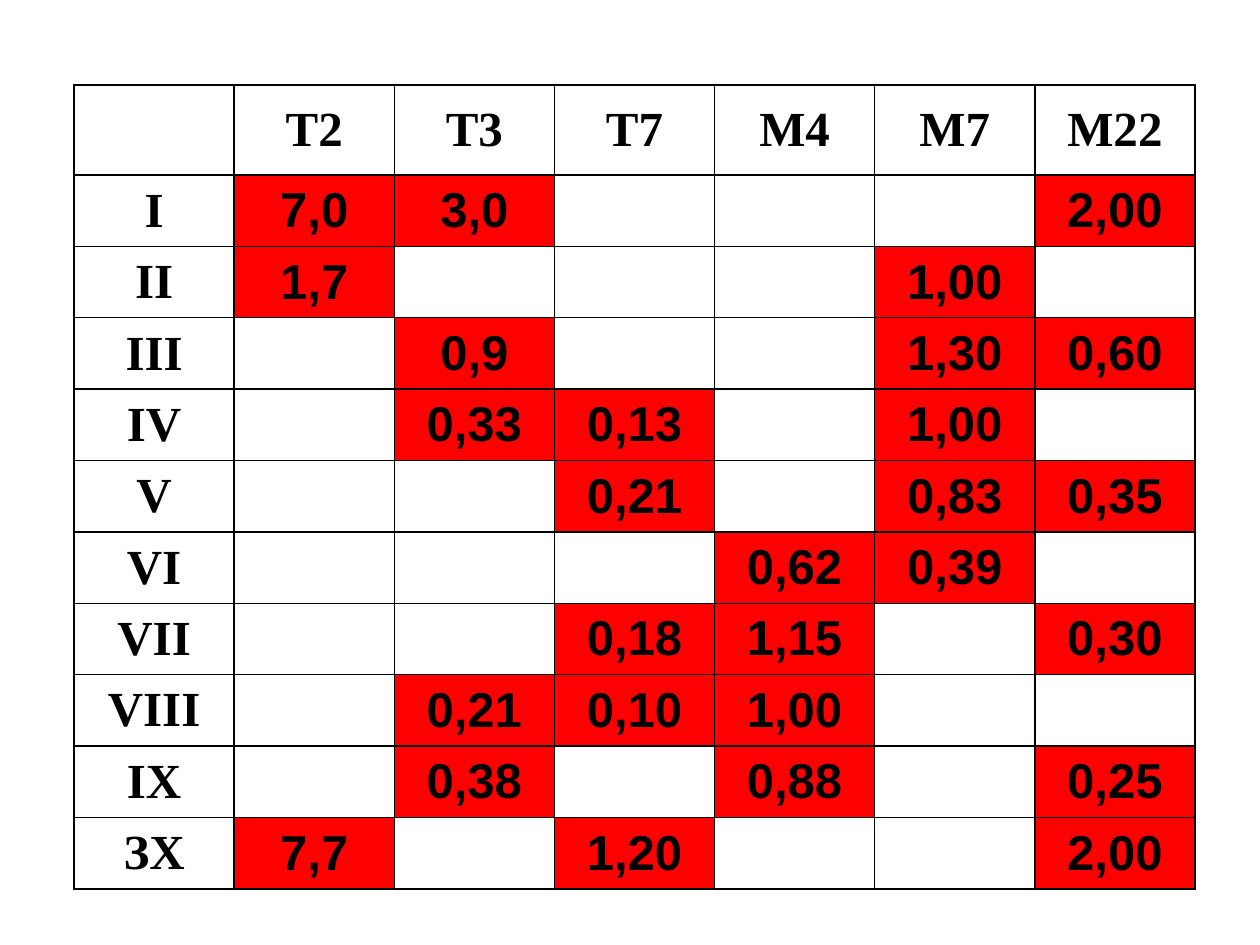
from dataclasses import dataclass

from lxml.etree import SubElement
from pptx import Presentation
from pptx.dml.color import RGBColor as RGB
from pptx.enum.text import MSO_ANCHOR as Anchor, PP_ALIGN as Align
from pptx.oxml.ns import qn
from pptx.util import Emu, Pt

SCALE = 914400 // 126


@dataclass(frozen=True)
class Theme:
    """Colours, fonts and sizes of the slide."""
    ink: str = "000000"
    mark: str = "FF0000"
    head: str = "Times New Roman"
    body: str = "Arial"
    size: int = 28
    line: int = 1


THEME = Theme()
HEADS = ["", "T2", "T3", "T7", "M4", "M7", "M22"]
ROWS = [
    ["I", "7,0", "3,0", "", "", "", "2,00"],
    ["II", "1,7", "", "", "", "1,00", ""],
    ["III", "", "0,9", "", "", "1,30", "0,60"],
    ["IV", "", "0,33", "0,13", "", "1,00", ""],
    ["V", "", "", "0,21", "", "0,83", "0,35"],
    ["VI", "", "", "", "0,62", "0,39", ""],
    ["VII", "", "", "0,18", "1,15", "", "0,30"],
    ["VIII", "", "0,21", "0,10", "1,00", "", ""],
    ["IX", "", "0,38", "", "0,88", "", "0,25"],
    ["ЗХ", "7,7", "", "1,20", "", "", "2,00"],
]


def px(num):
    """Turn pixels into EMU."""
    return Emu(num * SCALE)


def write(cell, text, font=THEME.head, size=THEME.size, color=THEME.ink, bold=True):
    """Put one centred, formatted line into a cell."""
    cell.vertical_anchor = Anchor.MIDDLE
    para = cell.text_frame.paragraphs[0]
    para.alignment = Align.CENTER
    run = para.add_run()
    run.text = text
    run.font.name = font
    run.font.size = Pt(size)
    run.font.bold = bold
    run.font.color.rgb = RGB.from_string(color)


def frame(cell):
    """Draw the four borders of a cell."""
    props = cell._tc.get_or_add_tcPr()
    for side in ("lnL", "lnR", "lnT", "lnB"):
        edge = SubElement(props, qn(f"a:{side}"), w=str(Pt(THEME.line)))
        fill = SubElement(edge, qn("a:solidFill"))
        SubElement(fill, qn("a:srgbClr"), val=THEME.ink)


def paint(cell, marked):
    """Fill a marked cell and leave any other clear."""
    if marked:
        cell.fill.solid()
        cell.fill.fore_color.rgb = RGB.from_string(THEME.mark)
    else:
        cell.fill.background()


def add_grid(slide, left, top, wide, head, body):
    """Add the table with a head row and equal body rows."""
    data = [HEADS, *ROWS]
    shape = slide.shapes.add_table(
        len(data), len(HEADS), px(left), px(top), px(wide), px(head + body))
    table = shape.table
    table.first_row = table.horz_banding = False
    for col in table.columns:
        col.width = px(wide) // len(HEADS)
    for num, row in enumerate(table.rows):
        row.height = px(body) // len(ROWS) if num else px(head)
    for num, line in enumerate(data):
        for pos, text in enumerate(line):
            cell = table.cell(num, pos)
            value = bool(num and pos and text)
            frame(cell)
            paint(cell, value)
            if text:
                write(cell, text, font=THEME.body if value else THEME.head)


def main():
    """Build and save the slide."""
    deck = Presentation()
    deck.slide_width, deck.slide_height = px(1260), px(945)
    slide = deck.slides.add_slide(deck.slide_layouts[6])
    add_grid(slide, left=74, top=85, wide=1121, head=90, body=714)
    deck.save("out.pptx")


if __name__ == "__main__":
    main()
